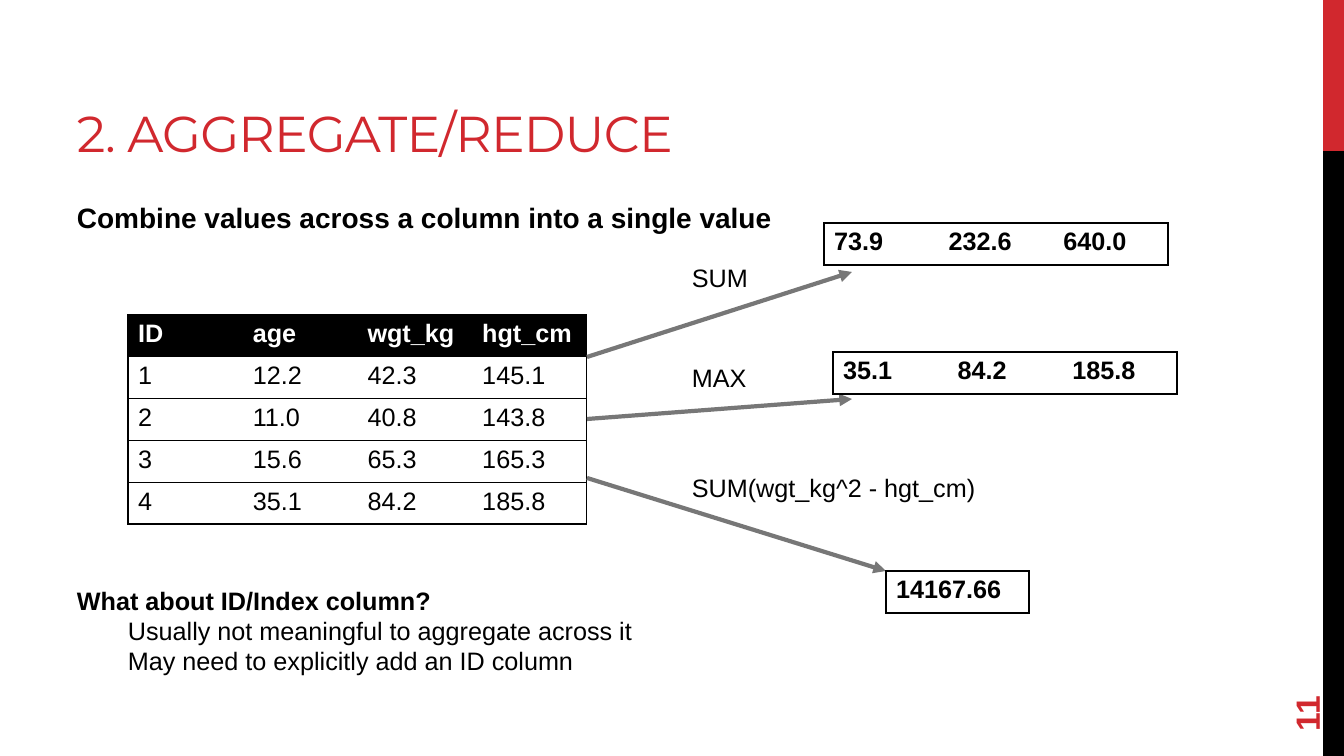
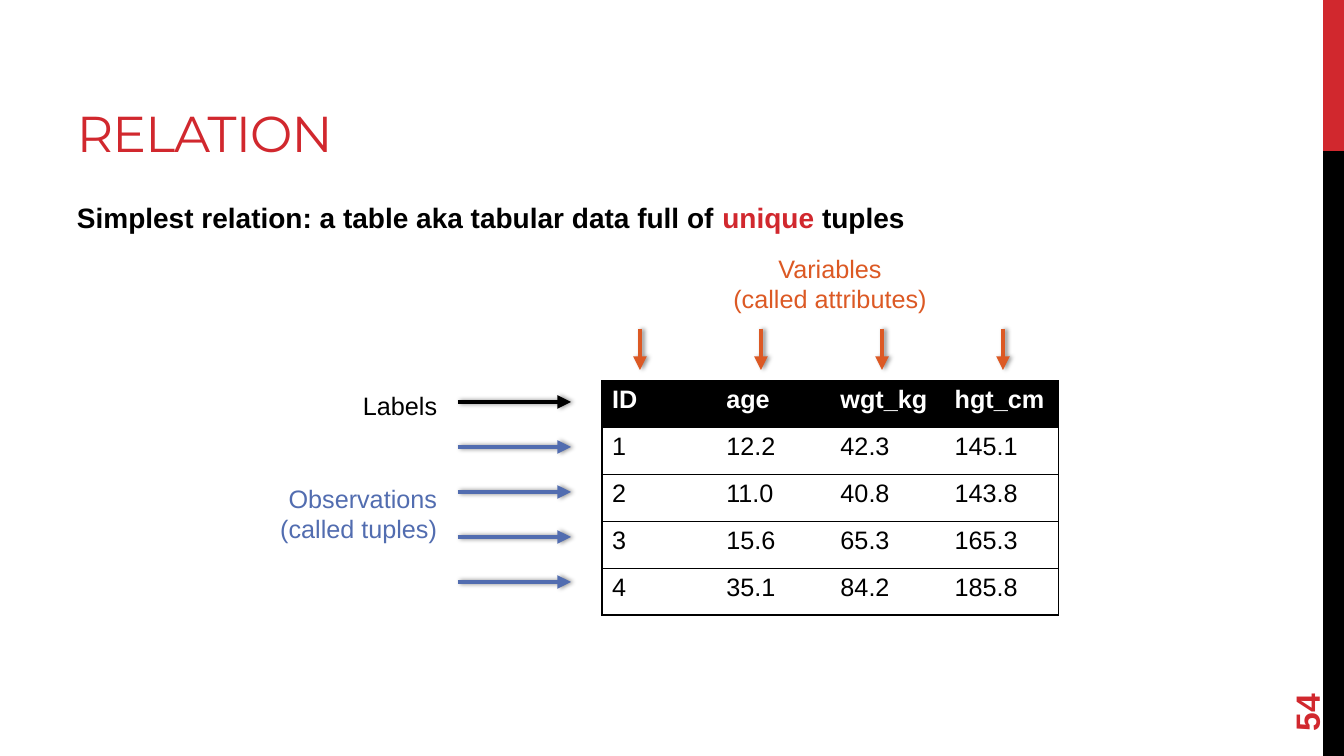
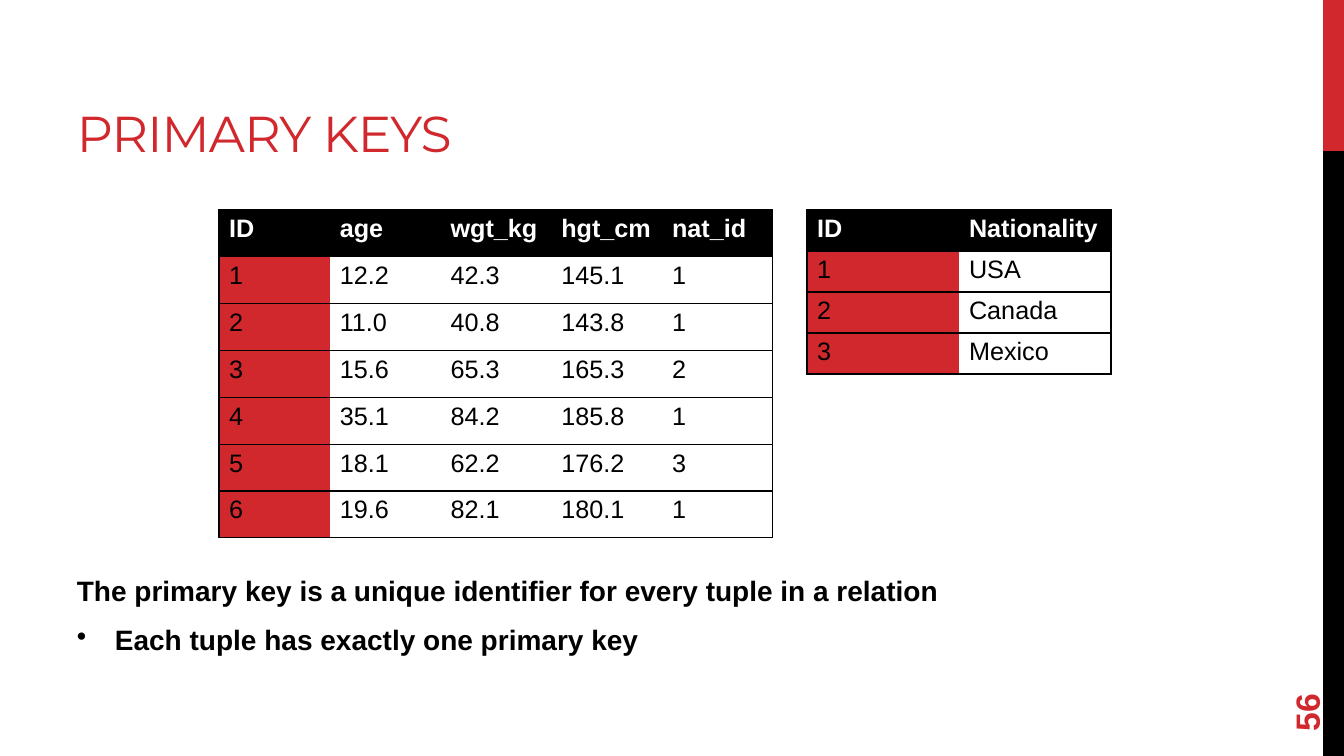
"""Build three slides on aggregation, relations and primary keys."""
import lxml.etree
import pptx
import pptx.dml.color
import pptx.enum.shapes
import pptx.enum.text
import pptx.oxml.ns
import pptx.util

EMU_PER_PX = 914400 / 100.8
SLIDE_SIZE = (1344, 756)
RED, BLACK, WHITE = "D1282E", "000000", "FFFFFF"
GRAY, BLUE, ORANGE = "777777", "526DB0", "DC5924"
ALIGN = pptx.enum.text.PP_ALIGN
HEADER = ["ID", "age", "wgt_kg", "hgt_cm"]
PEOPLE = [
    ["1", "12.2", "42.3", "145.1"],
    ["2", "11.0", "40.8", "143.8"],
    ["3", "15.6", "65.3", "165.3"],
    ["4", "35.1", "84.2", "185.8"],
]
MORE_PEOPLE = [["5", "18.1", "62.2", "176.2"], ["6", "19.6", "82.1", "180.1"]]
NATIONALITIES = [["ID", "Nationality"], ["1", "USA"], ["2", "Canada"], ["3", "Mexico"]]


def px(length):
    """Turn a length in px into EMU."""
    return pptx.util.Emu(round(length * EMU_PER_PX))


def rgb(value):
    """Turn a hex string into a colour."""
    return pptx.dml.color.RGBColor.from_string(value)


def add_element(parent, tag, **attributes):
    """Append a drawing element to its parent."""
    return lxml.etree.SubElement(parent, pptx.oxml.ns.qn(tag), **attributes)


def add_solid_fill(parent, color):
    """Append a solid fill and return its colour element."""
    return add_element(add_element(parent, "a:solidFill"), "a:srgbClr", val=color)


def write(paragraph, text, size=18, color=BLACK, bold=False, font="Arial", spacing=0):
    """Add a formatted run to a paragraph."""
    run = paragraph.add_run()
    run.text = text
    run.font.size = pptx.util.Pt(size)
    run.font.color.rgb = rgb(color)
    run.font.bold = bold
    run.font.name = font
    if spacing:
        run.font._element.set("spc", str(spacing))


def indent(paragraph, left, first=0, bullet=None):
    """Indent a paragraph and optionally give it a bullet."""
    properties = paragraph._p.get_or_add_pPr()
    properties.set("marL", str(px(left)))
    properties.set("indent", str(px(first)))
    if bullet:
        add_element(properties, "a:buChar", char=bullet)


def add_text(slide, box, paragraphs, align=ALIGN.LEFT, anchor="TOP", rotation=0, **style):
    """Add a text box of paragraphs, each a string or a list of (text, style) runs."""
    shape = slide.shapes.add_textbox(*map(px, box))
    shape.rotation = rotation
    frame = shape.text_frame
    frame.word_wrap = True
    frame.vertical_anchor = pptx.enum.text.MSO_ANCHOR[anchor]
    for index, runs in enumerate(paragraphs):
        paragraph = frame.add_paragraph() if index else frame.paragraphs[0]
        paragraph.alignment = align
        for text, changes in [(runs, {})] if isinstance(runs, str) else runs:
            write(paragraph, text, **{**style, **changes})
    return frame.paragraphs


def add_band(slide, top, height, color):
    """Add one part of the band at the right edge."""
    shape = slide.shapes.add_shape(
        pptx.enum.shapes.MSO_SHAPE.RECTANGLE, px(1323), px(top), px(21), px(height))
    shape.shadow.inherit = False
    shape.fill.solid()
    shape.fill.fore_color.rgb = rgb(color)
    shape.line.fill.background()


def add_slide(presentation, title, number):
    """Add a slide with its bands, title and page number."""
    slide = presentation.slides.add_slide(presentation.slide_layouts[6])
    add_band(slide, 0, 151, RED)
    add_band(slide, 151, 605, BLACK)
    add_text(slide, (67, 17, 851, 151), [title], anchor="BOTTOM",
             size=36, color=RED, font="Montserrat", spacing=-60)
    add_text(slide, (1234, 642, 145, 53), [number], anchor="MIDDLE", rotation=270,
             size=24, color=RED, bold=True)
    return slide


def add_body(slide, top, height, paragraphs):
    """Add the bold statement text of a slide."""
    return add_text(slide, (67, top, 1120, height), paragraphs, size=20, bold=True)


def set_borders(cell, is_first, is_last):
    """Rule a cell above and below, and at the outer sides of its row."""
    properties = cell._tc.get_or_add_tcPr()
    for side, visible in (("L", is_first), ("R", is_last), ("T", True), ("B", True)):
        line = add_element(properties, f"a:ln{side}", w=str(pptx.util.Pt(1)))
        if visible:
            add_solid_fill(line, BLACK)
        else:
            add_element(line, "a:noFill")


def add_table(slide, box, rows, has_header=True, key_fill=WHITE):
    """Add an evenly divided table; without a header its values are bold."""
    column_count = len(rows[0])
    table = slide.shapes.add_table(len(rows), column_count, *map(px, box)).table
    table.first_row = has_header
    table.horz_banding = False
    for row_index, row in enumerate(rows):
        is_header = has_header and row_index == 0
        for column_index, text in enumerate(row):
            cell = table.cell(row_index, column_index)
            set_borders(cell, column_index == 0, column_index == column_count - 1)
            body_fill = key_fill if column_index == 0 else WHITE
            cell.fill.solid()
            cell.fill.fore_color.rgb = rgb(BLACK if is_header else body_fill)
            write(cell.text_frame.paragraphs[0], text,
                  color=WHITE if is_header else BLACK, bold=is_header or not has_header)


def add_arrow(slide, start, end, color, width=3.25, shadow=True):
    """Add a straight arrow from start to end."""
    arrow = slide.shapes.add_connector(
        pptx.enum.shapes.MSO_CONNECTOR.STRAIGHT, *map(px, start + end))
    arrow.line.color.rgb = rgb(color)
    arrow.line.width = pptx.util.Pt(width)
    add_element(arrow.line._get_or_add_ln(), "a:tailEnd", type="triangle")
    effects = add_element(arrow._element.spPr, "a:effectLst")
    if shadow:
        outer = add_element(effects, "a:outerShdw", dir="0",
                            blurRad=str(pptx.util.Pt(3.1)), dist=str(pptx.util.Pt(1.8)))
        shade = add_element(outer, "a:srgbClr", val=BLACK)
        add_element(shade, "a:alpha", val="40000")


def build_aggregate(presentation):
    """Build the slide on combining the values of a column."""
    slide = add_slide(presentation, "2. AGGREGATE/REDUCE", "11")
    add_body(slide, 196, 45, ["Combine values across a column into a single value"])
    add_table(slide, (128, 315, 459, 209), [HEADER] + PEOPLE)
    results = [
        ("SUM", 257, (587, 357), (852, 272), (824, 223, 344, 42), ["73.9", "232.6", "640.0"]),
        ("MAX", 357, (587, 419), (852, 399), (833, 352, 344, 42), ["35.1", "84.2", "185.8"]),
        ("SUM(wgt_kg^2 - hgt_cm)", 467, (587, 478), (886, 571), (886, 571, 143, 42),
         ["14167.66"]),
    ]
    for label, label_top, start, end, box, values in results:
        add_text(slide, (682, label_top, 320, 40), [label])
        add_arrow(slide, start, end, GRAY, width=3, shadow=False)
        add_table(slide, box, [values], has_header=False)
    notes = add_text(slide, (67, 580, 620, 102), [
        [("What about ID/Index column?", {"bold": True})],
        "Usually not meaningful to aggregate across it",
        "May need to explicitly add an ID column",
    ])
    for paragraph in notes[1:]:
        indent(paragraph, 51)


def build_relation(presentation):
    """Build the slide naming the parts of a relation."""
    slide = add_slide(presentation, "RELATION", "54")
    add_body(slide, 196, 45, [[
        ("Simplest relation: a table aka tabular data full of ", {}),
        ("unique", {"color": RED}),
        (" tuples", {}),
    ]])
    add_table(slide, (602, 381, 457, 234), [HEADER] + PEOPLE)
    add_text(slide, (321, 385, 126, 40), ["Labels"], align=ALIGN.RIGHT)
    add_text(slide, (249, 478, 198, 72), ["Observations", "(called tuples)"],
             align=ALIGN.RIGHT, color=BLUE)
    add_text(slide, (722, 248, 216, 72), ["Variables", "(called attributes)"],
             align=ALIGN.CENTER, color=ORANGE)
    for index in range(len(PEOPLE) + 1):
        y = 402 + 45 * index
        add_arrow(slide, (458, y), (571, y), BLUE if index else BLACK)
    for index in range(len(HEADER)):
        x = 640 + 121 * index
        add_arrow(slide, (x, 329), (x, 370), ORANGE)


def build_primary_keys(presentation):
    """Build the slide on primary keys."""
    slide = add_slide(presentation, "PRIMARY KEYS", "56")
    nationality_ids = ["nat_id", "1", "1", "2", "1", "3", "1"]
    rows = [row + [key] for row, key in zip([HEADER] + PEOPLE + MORE_PEOPLE, nationality_ids)]
    add_table(slide, (219, 210, 554, 328), rows, key_fill=RED)
    add_table(slide, (807, 210, 304, 164), NATIONALITIES, key_fill=RED)
    statement, detail = add_body(slide, 569, 107, [
        "The primary key is a unique identifier for every tuple in a relation",
        "Each tuple has exactly one primary key",
    ])
    statement.space_after = pptx.util.Pt(6)
    indent(detail, 38, first=-38, bullet="•")
    detail.space_before = pptx.util.Pt(5)


def main():
    """Build and save the presentation."""
    presentation = pptx.Presentation()
    presentation.slide_width, presentation.slide_height = map(px, SLIDE_SIZE)
    build_aggregate(presentation)
    build_relation(presentation)
    build_primary_keys(presentation)
    presentation.save("out.pptx")


if __name__ == "__main__":
    main()
